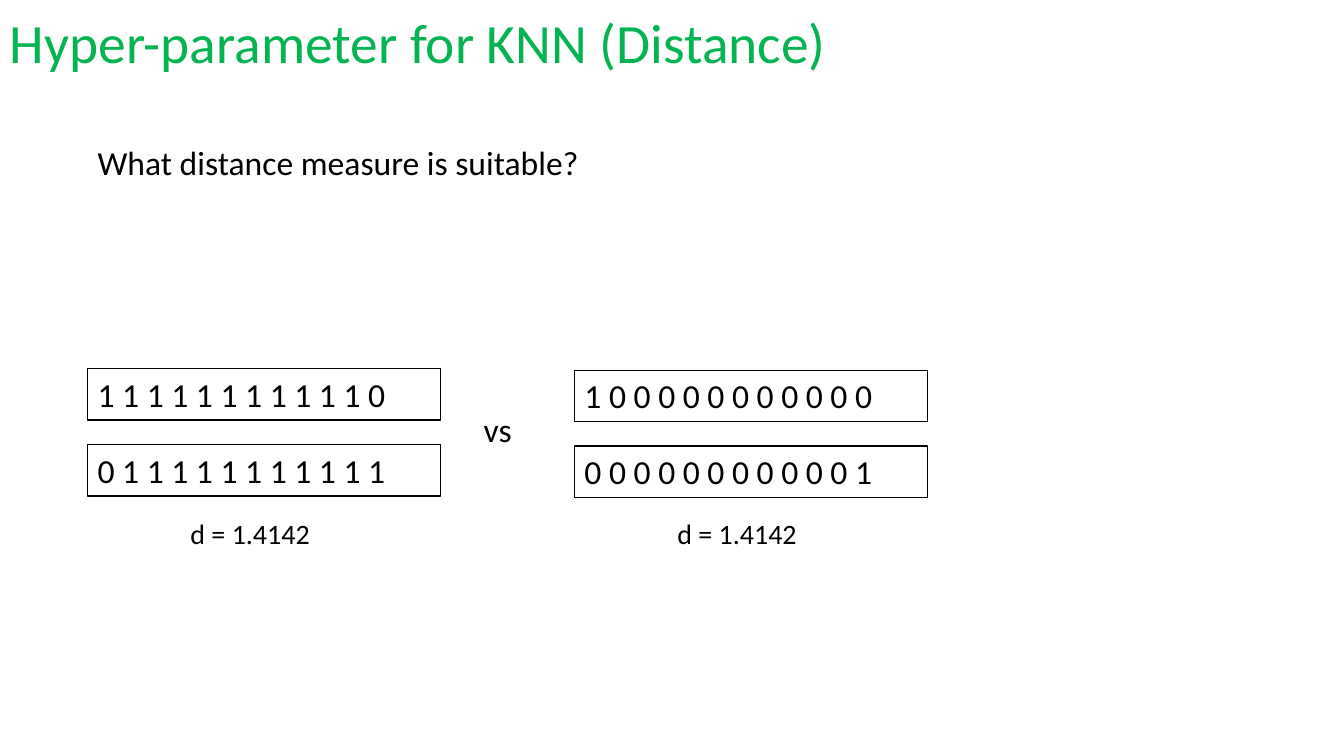
from pptx import Presentation
from pptx.dml.color import RGBColor
from pptx.enum.shapes import MSO_SHAPE
from pptx.enum.text import MSO_ANCHOR, PP_ALIGN
from pptx.util import Cm, Pt

RECTANGLE = MSO_SHAPE.RECTANGLE
TOP, MIDDLE = MSO_ANCHOR.TOP, MSO_ANCHOR.MIDDLE
LEFT = PP_ALIGN.LEFT

GREEN = RGBColor(0x04, 0xB4, 0x52)
BLACK = RGBColor(0, 0, 0)
FONT = "Calibri"

VECTOR_WIDTH, VECTOR_HEIGHT, VECTOR_STEP = 8.89, 1.3, 1.91
DISTANCE_INDENT, DISTANCE_TOP = 2.34, 12.9

# Left edge, top edge and the two binary vectors of each pair
PAIRS = [
    (2.21, 9.29, ["1 1 1 1 1 1 1 1 1 1 1 0", "0 1 1 1 1 1 1 1 1 1 1 1"]),
    (14.48, 9.33, ["1 0 0 0 0 0 0 0 0 0 0 0", "0 0 0 0 0 0 0 0 0 0 0 1"]),
]


def write_text(box, text, size, color=BLACK, anchor=TOP, wrap=True):
    frame = box.text_frame
    frame.word_wrap = wrap
    frame.vertical_anchor = anchor
    para = frame.paragraphs[0]
    para.text = text
    para.alignment = LEFT
    para.font.name = FONT
    para.font.size = Pt(size)
    para.font.color.rgb = color


def add_label(page, left, top, width, height, text, size, **style):
    box = page.shapes.add_textbox(Cm(left), Cm(top), Cm(width), Cm(height))
    write_text(box, text, size, **style)


def add_vector(page, left, top, digits):
    box = page.shapes.add_shape(
        RECTANGLE, Cm(left), Cm(top), Cm(VECTOR_WIDTH), Cm(VECTOR_HEIGHT))
    box.shadow.inherit = False
    box.fill.background()
    box.line.color.rgb = BLACK
    box.line.width = Pt(1)
    write_text(box, digits, 24)


def add_pair(page, left, top, vectors):
    for row, digits in enumerate(vectors):
        add_vector(page, left, top + row * VECTOR_STEP, digits)
    add_label(page, left + DISTANCE_INDENT, DISTANCE_TOP, 4.65, 1.1,
              "d = 1.4142", 20)


def main():
    deck = Presentation()
    deck.slide_width, deck.slide_height = Cm(33.87), Cm(19.05)
    page = deck.slides.add_slide(deck.slide_layouts[6])

    # Title and question
    add_label(page, 0, 0.03, 30.48, 2, "Hyper-parameter for KNN (Distance)",
              39.6, color=GREEN, anchor=MIDDLE)
    add_label(page, 2.21, 3.45, 12.75, 1.27,
              "What distance measure is suitable?", 24, wrap=False)

    # Two pairs of vectors, compared
    for left, top, vectors in PAIRS:
        add_pair(page, left, top, vectors)
    add_label(page, 11.94, 10.19, 1.55, 1.7, "vs", 24)

    deck.save("out.pptx")


if __name__ == "__main__":
    main()
